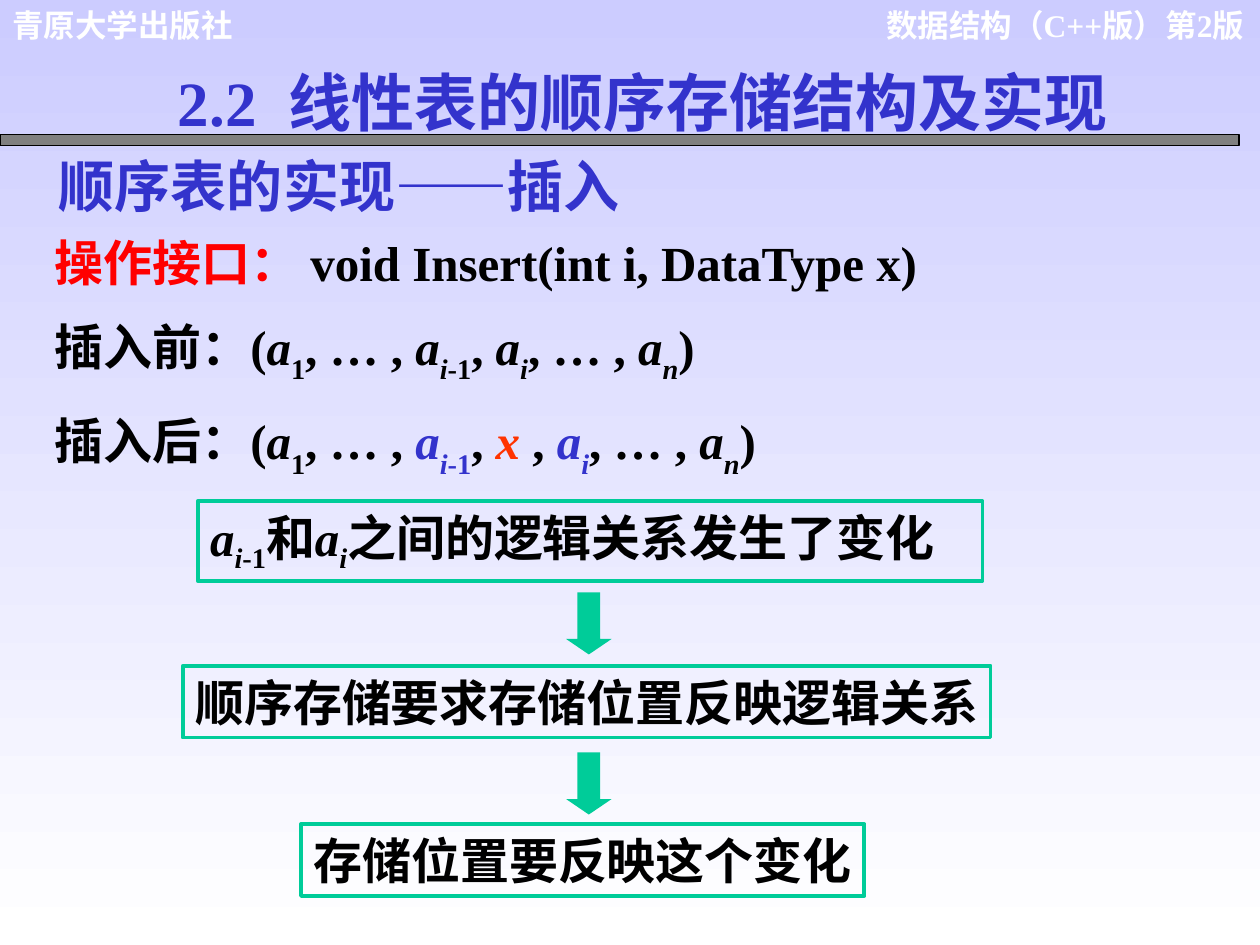
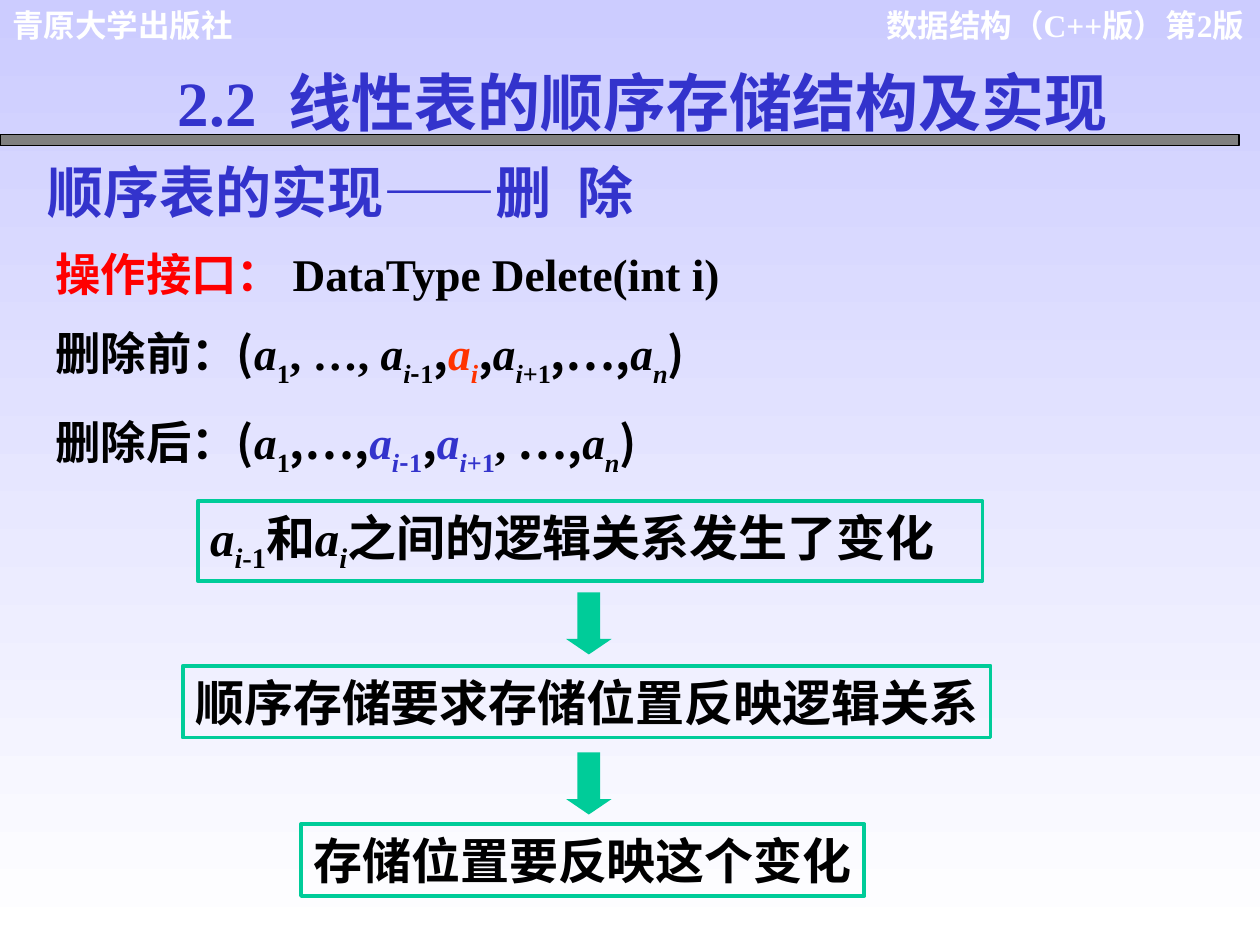
from pptx import Presentation
from pptx.dml.color import RGBColor
from pptx.enum.shapes import MSO_SHAPE
from pptx.enum.text import MSO_ANCHOR, MSO_AUTO_SIZE, PP_ALIGN
from pptx.util import Pt

RECT, ARROW = MSO_SHAPE.RECTANGLE, MSO_SHAPE.DOWN_ARROW
TOP, MIDDLE = MSO_ANCHOR.TOP, MSO_ANCHOR.MIDDLE
FIT, FIXED = MSO_AUTO_SIZE.SHAPE_TO_FIT_TEXT, MSO_AUTO_SIZE.NONE
LEFT, RIGHT = PP_ALIGN.LEFT, PP_ALIGN.RIGHT


class Theme:
    sky = RGBColor(0xCC, 0xCC, 0xFF)
    white = RGBColor(0xFF, 0xFF, 0xFF)
    black = RGBColor(0, 0, 0)
    gray = RGBColor(0x80, 0x80, 0x80)
    blue = RGBColor(0x33, 0x33, 0xCC)
    red = RGBColor(0xFF, 0, 0)
    flame = RGBColor(0xFF, 0x33, 0)
    green = RGBColor(0, 0xCC, 0x99)
    serif, sans, cjk = "Times New Roman", "Arial", "Noto Sans CJK SC"
    brand, head, topic, text = 18, 36, 32, 28


# Run styles: i italic, s subscript, d shallow subscript, z CJK font,
# b blue, r red, f flame
TINTS = {"b": Theme.blue, "r": Theme.red, "f": Theme.flame}
DROPS = {"s": "-30000", "d": "-25000"}


def write(par, runs, size, face, tint, align=LEFT, gap=0, lead=1.0):
    """Format a paragraph and fill it with (text, style) runs."""
    par.alignment, par.space_before, par.line_spacing = align, Pt(gap), lead
    font = par.font
    font.size, font.name, font.bold = Pt(size), face, True
    font.color.rgb = tint
    for text, style in runs:
        run = par.add_run()
        run.text = text
        if "i" in style:
            run.font.italic = True
        if "z" in style:
            run.font.name = Theme.cjk
        for key in style:
            if key in TINTS:
                run.font.color.rgb = TINTS[key]
            if key in DROPS:
                run.font._element.set("baseline", DROPS[key])


def place(shape, left, top, width, height):
    shape.left, shape.top = Pt(left), Pt(top)
    shape.width, shape.height = Pt(width), Pt(height)


FIRST = [("a", "i"), ("1", "s")]
LAST = [("a", "i"), ("n", "is")]
PREV = [("a", "i"), ("i", "is"), ("-1", "s")]
PREV_BLUE = [("a", "ib"), ("i", "isb"), ("-1", "sb")]
THIS = [("a", "i"), ("i", "is")]
THIS_BLUE = [("a", "ib"), ("i", "isb")]
THIS_FLAME = [("a", "if"), ("i", "isf")]
DASHED = [("a", "i"), ("i", "is"), ("-", "sz"), ("1", "s")]
DASHED_BLUE = [("a", "ib"), ("i", "isb"), ("-", "szb"), ("1", "sb")]
NEXT = [("a", "i"), ("i", "is"), ("+1", "s")]
NEXT_BLUE = [("a", "ib"), ("i", "isb"), ("+1", "sb")]
DOTS, COMMA, TIGHT = [(", … , ", "")], [(", ", "")], [(",", "z")]
DOTS_CJK = [(",…,", "z")]

# Each line: runs, space before, line spacing
PAGES = [
    dict(
        topic="顺序表的实现——插入", face=Theme.serif, size=Theme.text,
        title=(26.5, 84.5, 405.5, 42.5), body=(24, 129, 660, 149),
        lines=[
            ([("操作接口： ", "r"), ("void Insert(int i, DataType x)", "")], 7, 1.0),
            ([("插入前：(", "")] + FIRST + DOTS + PREV + COMMA + THIS + DOTS
             + LAST + [(")", "")], 10.5, 1.1),
            ([("插入后：(", "")] + FIRST + DOTS + PREV_BLUE + COMMA + [("x ", "if")]
             + COMMA + THIS_BLUE + DOTS + LAST + [(")", "")], 10.5, 1.1),
        ],
    ),
    dict(
        topic="顺序表的实现——删  除", face=Theme.sans, size=25.9,
        title=(20, 85, 582, 48), body=(24.5, 137, 660, 141),
        lines=[
            ([("操作接口： ", "r"), ("DataType Delete(int i)", "")], 7, 1.0),
            ([("删除前：", ""), ("(", "z")] + FIRST + [(", …, ", "")] + DASHED + TIGHT
             + THIS_FLAME + TIGHT + NEXT + DOTS_CJK + LAST + [(")", "z")], 14, 1.0),
            ([("删除后：", ""), ("(", "z")] + FIRST + DOTS_CJK + DASHED_BLUE + TIGHT
             + NEXT_BLUE + COMMA + [("…,", "z")] + LAST + [(")", "z")], 14, 0.9),
        ],
    ),
]

CHANGE = [("a", "i"), ("i", "id"), ("-1", "d"), ("和", ""),
          ("a", "i"), ("i", "id"), ("之间的逻辑关系发生了变化", "")]
STEPS = [
    (CHANGE, Theme.serif, (113, 286.5, 448.5, 45.5)),
    ([("顺序存储要求存储位置反映逻辑关系", "")], Theme.serif, (104.5, 380.5, 461.5, 41)),
    ([("存储位置要反映这个变化", "")], Theme.sans, (172, 471, 322, 41)),
]
ARROW_TOPS = [338.5, 430]
BRANDS = [
    ("数据结构（C++版）第2版", Theme.serif, RIGHT, (492.5, 0, 225.5, 50.5)),
    ("青原大学出版社", Theme.sans, LEFT, (0, 0, 195, 29)),
]

prs = Presentation()
prs.slide_width, prs.slide_height = Pt(720), Pt(540)
layout = prs.slide_layouts[1]
slides = [prs.slides.add_slide(layout) for page in PAGES]

# Shared background, brand lines and rule
fill = prs.slide_master.background.fill
fill.gradient()
fill.gradient_angle = 270
for stop, tint, spot in zip(fill.gradient_stops, (Theme.sky, Theme.white), (0, 1)):
    stop.color.rgb, stop.position = tint, spot

shared = []
for text, face, align, area in BRANDS:
    box = slides[0].shapes.add_textbox(*map(Pt, area))
    box.text_frame.word_wrap = True
    box.text_frame.auto_size = FIT
    write(box.text_frame.paragraphs[0], [(text, "")], Theme.brand, face,
          Theme.white, align, gap=11.2)
    shared.append(box)
rule = slides[0].shapes.add_shape(RECT, Pt(0), Pt(77), Pt(708), Pt(6))
rule.shadow.inherit = False
rule.fill.solid()
rule.fill.fore_color.rgb = Theme.gray
rule.line.color.rgb = Theme.black
rule.line.width = Pt(0.75)
shared.append(rule)
for num, shape in enumerate(shared, 20):
    shape.element.nvSpPr.cNvPr.id = num
    layout.shapes.element.append(shape.element)

for slide, page in zip(slides, PAGES):
    body = slide.placeholders[1]
    place(body, *page["body"])
    frame = body.text_frame
    frame.auto_size = FIXED
    for num, (runs, gap, lead) in enumerate(page["lines"]):
        par = frame.add_paragraph() if num else frame.paragraphs[0]
        write(par, runs, page["size"], Theme.serif, Theme.black, gap=gap, lead=lead)
        props = par._p.get_or_add_pPr()
        props.set("marL", "0")
        props.set("indent", "0")
        bullet = props.makeelement(
            "{http://schemas.openxmlformats.org/drawingml/2006/main}buNone", {})
        par.font._element.addprevious(bullet)

    title = slide.shapes.title
    place(title, *page["title"])
    title.text_frame.auto_size = FIXED
    title.text_frame.vertical_anchor = MIDDLE
    write(title.text_frame.paragraphs[0], [(page["topic"], "")], Theme.topic,
          page["face"], Theme.blue)

    head = slide.shapes.add_textbox(Pt(94.5), Pt(36), Pt(588), Pt(43))
    frame = head.text_frame
    frame.word_wrap, frame.auto_size = True, FIT
    frame.margin_top = frame.margin_bottom = 0
    write(frame.paragraphs[0], [("2.2  线性表的顺序存储结构及实现", "")], Theme.head,
          Theme.serif, Theme.blue, gap=22.5)

    for runs, face, area in STEPS:
        box = slide.shapes.add_shape(RECT, *map(Pt, area))
        box.shadow.inherit = False
        box.fill.background()
        box.line.color.rgb = Theme.green
        box.line.width = Pt(2.25)
        frame = box.text_frame
        frame.word_wrap, frame.auto_size = False, FIT
        frame.vertical_anchor = TOP
        write(frame.paragraphs[0], runs, Theme.text, face, Theme.black)

    for top in ARROW_TOPS:
        arrow = slide.shapes.add_shape(ARROW, Pt(323.5), Pt(top), Pt(26), Pt(35.5))
        arrow.shadow.inherit = False
        arrow.adjustments[0], arrow.adjustments[1] = 0.5, 0.34
        arrow.fill.solid()
        arrow.fill.fore_color.rgb = Theme.green
        arrow.line.fill.background()

prs.save("out.pptx")
